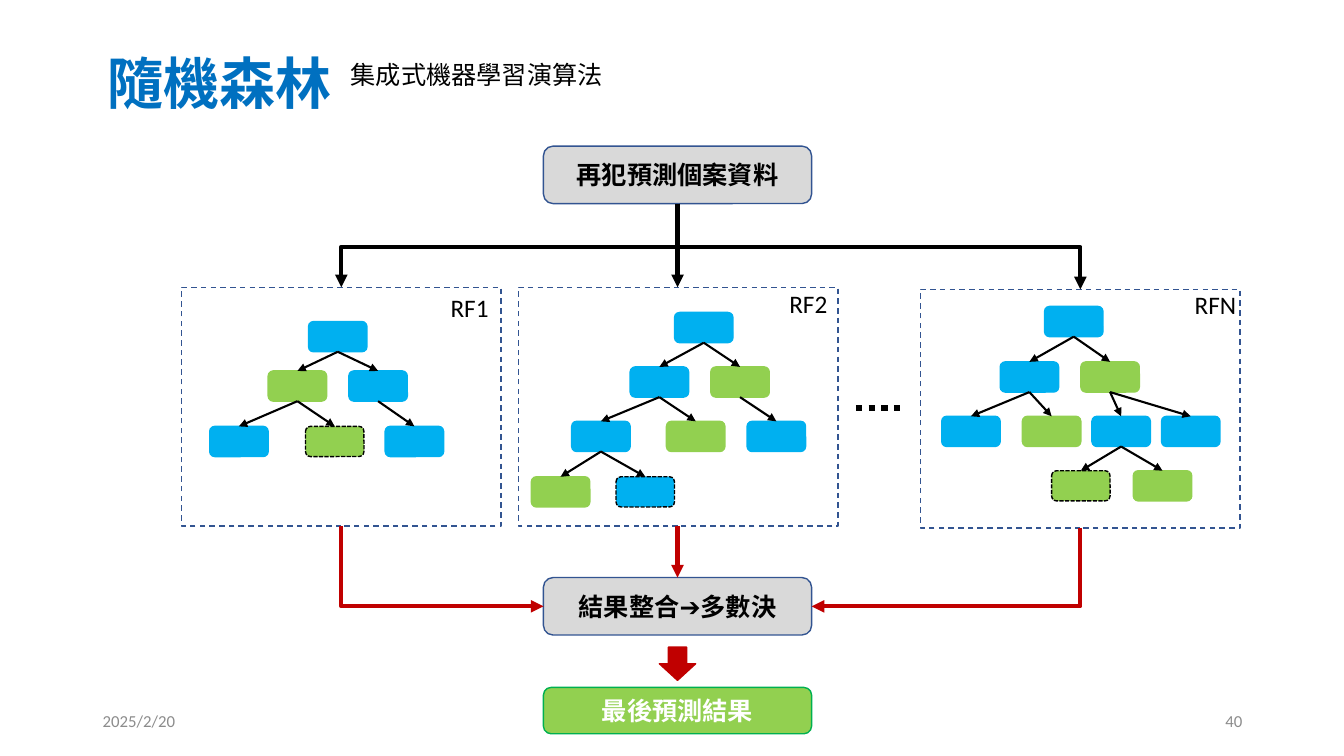
from lxml import etree
from pptx import Presentation
from pptx.dml.color import RGBColor
from pptx.enum.dml import MSO_LINE
from pptx.enum.shapes import MSO_CONNECTOR, MSO_SHAPE
from pptx.enum.text import MSO_ANCHOR, PP_ALIGN
from pptx.oxml.ns import qn
from pptx.util import Inches, Pt

STRAIGHT, ELBOW = MSO_CONNECTOR.STRAIGHT, MSO_CONNECTOR.ELBOW
ROUNDED, RECTANGLE, DOWN_ARROW = (
    MSO_SHAPE.ROUNDED_RECTANGLE, MSO_SHAPE.RECTANGLE, MSO_SHAPE.DOWN_ARROW)
DASH, SHORT_DASH, DOTS = MSO_LINE.DASH, MSO_LINE.SQUARE_DOT, MSO_LINE.ROUND_DOT
LEFT, CENTER, RIGHT = PP_ALIGN.LEFT, PP_ALIGN.CENTER, PP_ALIGN.RIGHT
TOP, MIDDLE = MSO_ANCHOR.TOP, MSO_ANCHOR.MIDDLE

CJK, LATIN = "Noto Sans CJK SC", "Calibri"
BLACK, WHITE, GRAY, DATE_GRAY = "000000", "FFFFFF", "D9D9D9", "8C8C8C"
BLUE, GREEN, NAVY, RED = "00B0F0", "92D050", "325491", "C00000"
TITLE_BLUE, EDGE_GREEN = "0070C0", "00B050"

# Content: each node is (parent index, level, left, colour, is final leaf)
TREES = [
    {"frame": (1.8, 2.85), "levels": [3.19, 3.68, 4.23],
     "nodes": [(None, 0, 3.06, BLUE, False),
               (0, 1, 2.66, GREEN, False), (0, 1, 3.46, BLUE, False),
               (1, 2, 2.08, BLUE, False), (1, 2, 3.03, GREEN, True),
               (2, 2, 3.82, BLUE, False)]},
    {"frame": (5.14, 2.85), "levels": [3.1, 3.64, 4.18, 4.73],
     "nodes": [(None, 0, 6.69, BLUE, False),
               (0, 1, 6.25, BLUE, False), (0, 1, 7.05, GREEN, False),
               (1, 2, 5.67, BLUE, False), (1, 2, 6.61, GREEN, False),
               (2, 2, 7.41, BLUE, False),
               (3, 3, 5.27, GREEN, False), (3, 3, 6.11, BLUE, True)]},
    {"frame": (9.13, 2.87), "levels": [3.04, 3.59, 4.13, 4.67],
     "nodes": [(None, 0, 10.36, BLUE, False),
               (0, 1, 9.92, BLUE, False), (0, 1, 10.72, GREEN, False),
               (1, 2, 9.34, BLUE, False), (1, 2, 10.14, GREEN, False),
               (2, 2, 10.83, BLUE, False), (2, 2, 11.52, BLUE, False),
               (5, 3, 10.43, GREEN, True), (5, 3, 11.24, GREEN, False)]},
]
# Step boxes: text, top, height, fill, outline, text colour
STEPS = [
    ("再犯預測個案資料", 1.45, 0.57, GRAY, NAVY, BLACK),
    ("結果整合➔多數決", 5.73, 0.57, GRAY, NAVY, BLACK),
    ("最後預測結果", 6.82, 0.46, GREEN, EDGE_GREEN, WHITE),
]
# Labels: text, place, font, size, colour, bold, alignment, anchor, wrap
LABELS = [
    ("隨機森林", (0.97, 0.09, 11.5, 1.45), CJK, 40, TITLE_BLUE, True, LEFT, MIDDLE, True),
    ("集成式機器學習演算法", (3.38, 0.54, 6.67, 0.4), LATIN, 18, BLACK, False, LEFT, TOP, True),
    ("RF1", (4.37, 2.85, 0.58, 0.4), LATIN, 18, BLACK, False, LEFT, TOP, False),
    ("RF2", (7.73, 2.81, 0.58, 0.4), LATIN, 18, BLACK, False, LEFT, TOP, False),
    ("RFN", (11.75, 2.82, 0.62, 0.4), LATIN, 18, BLACK, False, LEFT, TOP, False),
    ("2025/2/20", (0.92, 6.95, 3, 0.4), LATIN, 12, DATE_GRAY, False, LEFT, MIDDLE, True),
    ("40", (9.42, 6.95, 3, 0.4), LATIN, 12, DATE_GRAY, False, RIGHT, MIDDLE, True),
]
NODE_W, NODE_H = 0.58, 0.3
FRAME_W, FRAME_H = 3.17, 2.37
STEP_LEFT, STEP_W = 5.39, 2.66
MID_X = STEP_LEFT + STEP_W / 2
SPLIT_Y = 2.45

deck = Presentation()
deck.slide_width, deck.slide_height = Inches(13.33), Inches(7.5)
page = deck.slides.add_slide(deck.slide_layouts[6])


def color(code):
    return RGBColor.from_string(code)


def style_line(line, code, width, dash=None):
    line.color.rgb = color(code)
    line.width = Pt(width)
    if dash is not None:
        line.dash_style = dash


def add_box(kind, place, fill, outline, dash=None):
    shape = page.shapes.add_shape(kind, *map(Inches, place))
    shape.shadow.inherit = False
    if fill:
        shape.fill.solid()
        shape.fill.fore_color.rgb = color(fill)
    else:
        shape.fill.background()
    style_line(shape.line, outline, 1, dash)
    return shape


def write(box, text, font, size, code, bold, align, anchor, wrap=True):
    frame = box.text_frame
    frame.text = text
    frame.word_wrap = wrap
    frame.vertical_anchor = anchor
    para = frame.paragraphs[0]
    para.alignment = align
    span = para.runs[0]
    span.font.name, span.font.size, span.font.bold = font, Pt(size), bold
    span.font.color.rgb = color(code)
    if font == CJK:
        etree.SubElement(span.font._element, qn("a:ea"), typeface=font)


def add_line(kind, start, end, code, width, dash=None, arrow=True):
    link = page.shapes.add_connector(kind, *map(Inches, (*start, *end)))
    style_line(link.line, code, width, dash)
    if arrow:
        etree.SubElement(link.line._get_or_add_ln(), qn("a:tailEnd"), type="triangle")
    etree.SubElement(link._element.spPr, qn("a:effectLst"))
    return link


def add_elbow(start, end, code, turn_y=None):
    """Leave downwards, then turn sideways; turn_y sets a second bend."""
    (x1, y1), (x2, y2) = start, end
    width, height = y2 - y1, abs(x2 - x1)
    left, top = (x1 + x2 - width) / 2, (y1 + y2 - height) / 2
    link = add_line(ELBOW, (left, top), (left + width, top + height), code, 3)
    properties = link._element.spPr
    place = properties.find(qn("a:xfrm"))
    place.set("rot", str((270 if x2 > x1 else 90) * 60000))
    if x2 > x1:
        place.set("flipH", "1")
    geometry = properties.find(qn("a:prstGeom"))
    if turn_y is None:
        geometry.set("prst", "bentConnector2")
    else:
        bend = round((turn_y - y1) / width * 100000)
        etree.SubElement(geometry.find(qn("a:avLst")), qn("a:gd"),
                         name="adj1", fmla=f"val {bend}")


# Decision trees
for tree in TREES:
    spots = [(left, tree["levels"][level]) for _, level, left, _, _ in tree["nodes"]]
    for (parent, _, _, fill, final), (left, top) in zip(tree["nodes"], spots):
        add_box(ROUNDED, (left, top, NODE_W, NODE_H), fill,
                BLACK if final else fill, SHORT_DASH if final else None)
        if parent is not None:
            from_x, from_y = spots[parent]
            add_line(STRAIGHT, (from_x + NODE_W / 2, from_y + NODE_H),
                     (left + NODE_W / 2, top), BLACK, 1.5)
    add_box(RECTANGLE, (*tree["frame"], FRAME_W, FRAME_H), None, NAVY, DASH)
add_line(STRAIGHT, (8.49, 4.05), (8.97, 4.05), BLACK, 4.5, DOTS, arrow=False)

# Step boxes and the final arrow
for text, top, height, fill, outline, ink in STEPS:
    box = add_box(ROUNDED, (STEP_LEFT, top, STEP_W, height), fill, outline)
    write(box, text, CJK, 18, ink, True, CENTER, MIDDLE)
add_box(DOWN_ARROW, (6.54, 6.42, 0.36, 0.33), RED, RED)

# Arrows from the data to each tree, and from each tree to the vote
data_bottom = STEPS[0][1] + STEPS[0][2]
vote_top, vote_height = STEPS[1][1:3]
for tree in TREES:
    left, top = tree["frame"]
    x, bottom = left + FRAME_W / 2, top + FRAME_H
    if abs(x - MID_X) < 0.1:
        add_line(STRAIGHT, (MID_X, data_bottom), (MID_X, top), BLACK, 3)
        add_line(STRAIGHT, (MID_X, bottom), (MID_X, vote_top), RED, 3)
    else:
        vote_side = STEP_LEFT if x < MID_X else STEP_LEFT + STEP_W
        add_elbow((MID_X, data_bottom), (x, top), BLACK, SPLIT_Y)
        add_elbow((x, bottom), (vote_side, vote_top + vote_height / 2), RED)

# Title, labels and footer
for text, place, *look in LABELS:
    write(page.shapes.add_textbox(*map(Inches, place)), text, *look)

deck.save("out.pptx")
